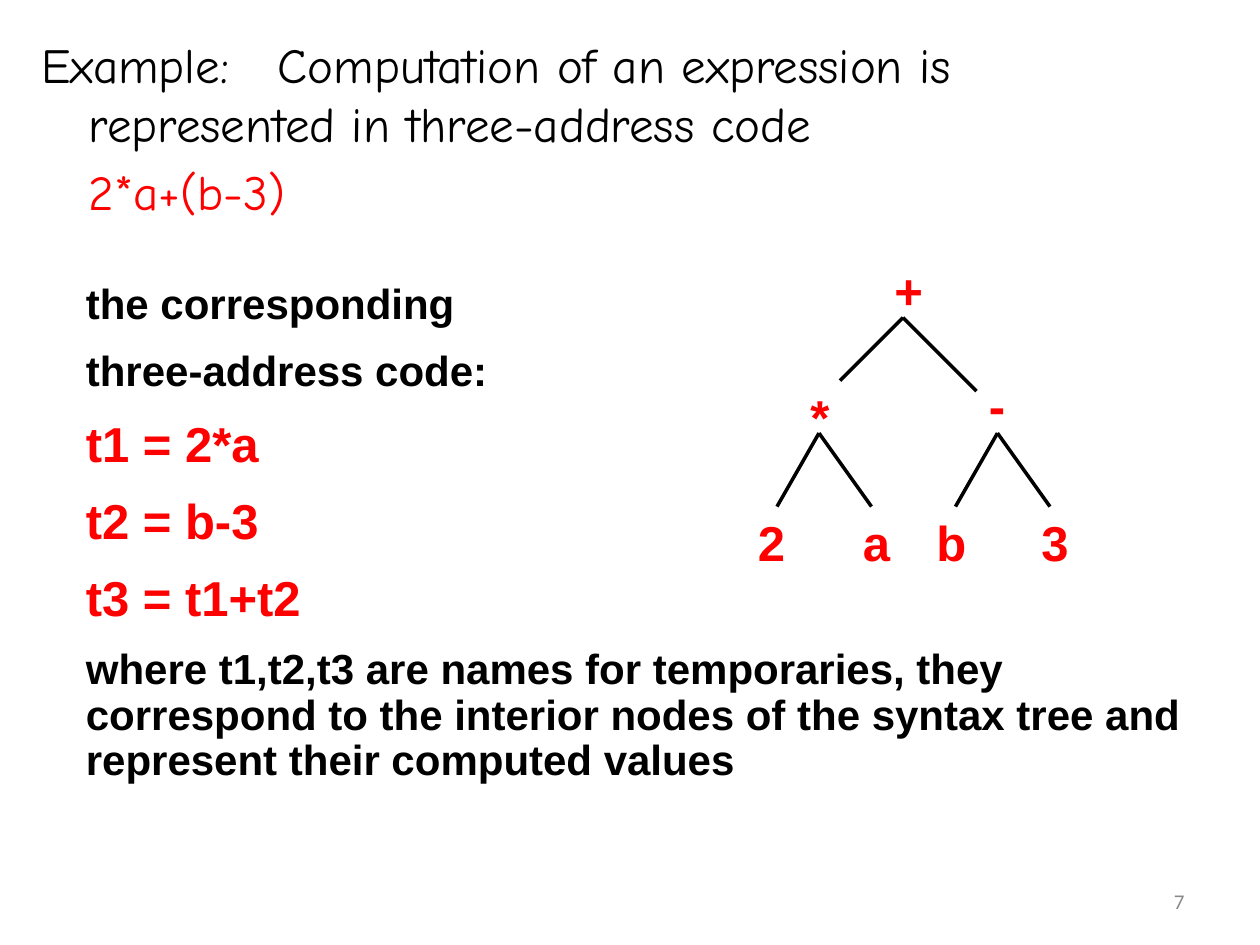
from lxml import etree
from pptx import Presentation
from pptx.dml.color import RGBColor
from pptx.enum.shapes import MSO_CONNECTOR
from pptx.enum.text import MSO_ANCHOR, MSO_AUTO_SIZE, PP_ALIGN
from pptx.oxml.ns import qn
from pptx.util import Pt

LINE = MSO_CONNECTOR.STRAIGHT
TOP, MIDDLE = MSO_ANCHOR.TOP, MSO_ANCHOR.MIDDLE
RIGHT = PP_ALIGN.RIGHT
FIT, FIXED = MSO_AUTO_SIZE.SHAPE_TO_FIT_TEXT, MSO_AUTO_SIZE.NONE
COLORS = {"black": "000000", "red": "FF0000", "gray": "898989"}

# Content: text, size, color
INTRO = [
    ("Example: \tComputation of an expression is represented in "
     "three-address code", 28, "black"),
    ("\t2*a+(b-3)", 28, "red"),
]
CODE = [
    ("the corresponding", 24, "black"),
    ("three-address code:", 24, "black"),
    ("t1 = 2*a", 28, "red"),
    ("t2 = b-3", 28, "red"),
    ("t3 = t1+t2", 28, "red"),
    ("where t1,t2,t3 are names for temporaries, they correspond to the "
     "interior nodes of the syntax tree and represent their computed values",
     24, "black"),
]
# Syntax tree: label, left, top
LEAF = 289.5
NODES = [
    ("+", 504, 145.5), ("*", 456, 217.5), ("-", 558, 211),
    ("2", 426, LEAF), ("a", 486, LEAF), ("b", 528, LEAF), ("3", 588, LEAF),
]
# Branches: fork point, then the ends of its two lines
FORKS = [
    ((516, 181.5), [(480, 217.5), (558, 223.5)]),
    ((468, 247.5), [(444, LEAF), (498, LEAF)]),
    ((570, 247.5), [(546, LEAF), (600, LEAF)]),
]


def add_run(para, text, size, color, face, bold=False):
    run = para.add_run()
    run.text = text
    font = run.font
    font.name, font.size, font.bold = face, Pt(size), bold
    font.color.rgb = RGBColor.from_string(COLORS[color])


def fill_text(frame, rows, face, bold=False, gap=0, ratio=1.0):
    """Write one paragraph per row; gap is a share of the text size."""
    for i, (text, size, color) in enumerate(rows):
        para = frame.paragraphs[0] if i == 0 else frame.add_paragraph()
        para.space_before = Pt(round(gap * size, 1) if i else 0)
        para.line_spacing = ratio
        add_run(para, text, size, color, face, bold)


def add_box(shapes, left, top, width, height, fit=FIT):
    box = shapes.add_textbox(Pt(left), Pt(top), Pt(width), Pt(height))
    frame = box.text_frame
    frame.word_wrap = True
    frame.auto_size = fit
    return frame


def add_line(shapes, start, end):
    line = shapes.add_connector(LINE, *(Pt(n) for n in start + end))
    line.line.color.rgb = RGBColor.from_string(COLORS["black"])
    line.line.width = Pt(2)
    etree.SubElement(line._element.spPr, qn("a:effectLst"))


def main():
    prs = Presentation()
    prs.slide_width, prs.slide_height = Pt(720), Pt(540)
    slide = prs.slides.add_slide(prs.slide_layouts[1])
    title = slide.shapes.title._element
    title.getparent().remove(title)

    # Example statement with hanging indents
    body = slide.placeholders[1]
    body.left, body.top = Pt(16.5), Pt(16)
    body.width, body.height = Pt(648), Pt(356)
    frame = body.text_frame
    frame.auto_size, frame.vertical_anchor = FIXED, TOP
    fill_text(frame, INTRO, "Comic Neue", gap=0.2)
    for para in frame.paragraphs:
        props = para._p.get_or_add_pPr()
        props.set("marL", str(Pt(27)))
        props.set("indent", str(Pt(-27)))
        etree.SubElement(props, qn("a:buNone"))

    # Three-address code
    frame = add_box(slide.shapes, 42, 158.5, 642, 309.5)
    fill_text(frame, CODE, "Arial", bold=True, gap=0.5, ratio=0.9)

    # Syntax tree
    tree = slide.shapes.add_group_shape().shapes
    for label, left, top in NODES:
        frame = add_box(tree, left, top, 36, 41)
        fill_text(frame, [(label, 28, "red")], "Arial", bold=True)
    for fork, ends in FORKS:
        for end in ends:
            add_line(tree, fork, end)

    # Page number
    frame = add_box(slide.shapes, 516, 500.5, 168, 28.5, FIXED)
    frame.vertical_anchor = MIDDLE
    fill_text(frame, [("7", 12, "gray")], "Calibri")
    frame.paragraphs[0].alignment = RIGHT

    prs.save("out.pptx")


if __name__ == "__main__":
    main()
